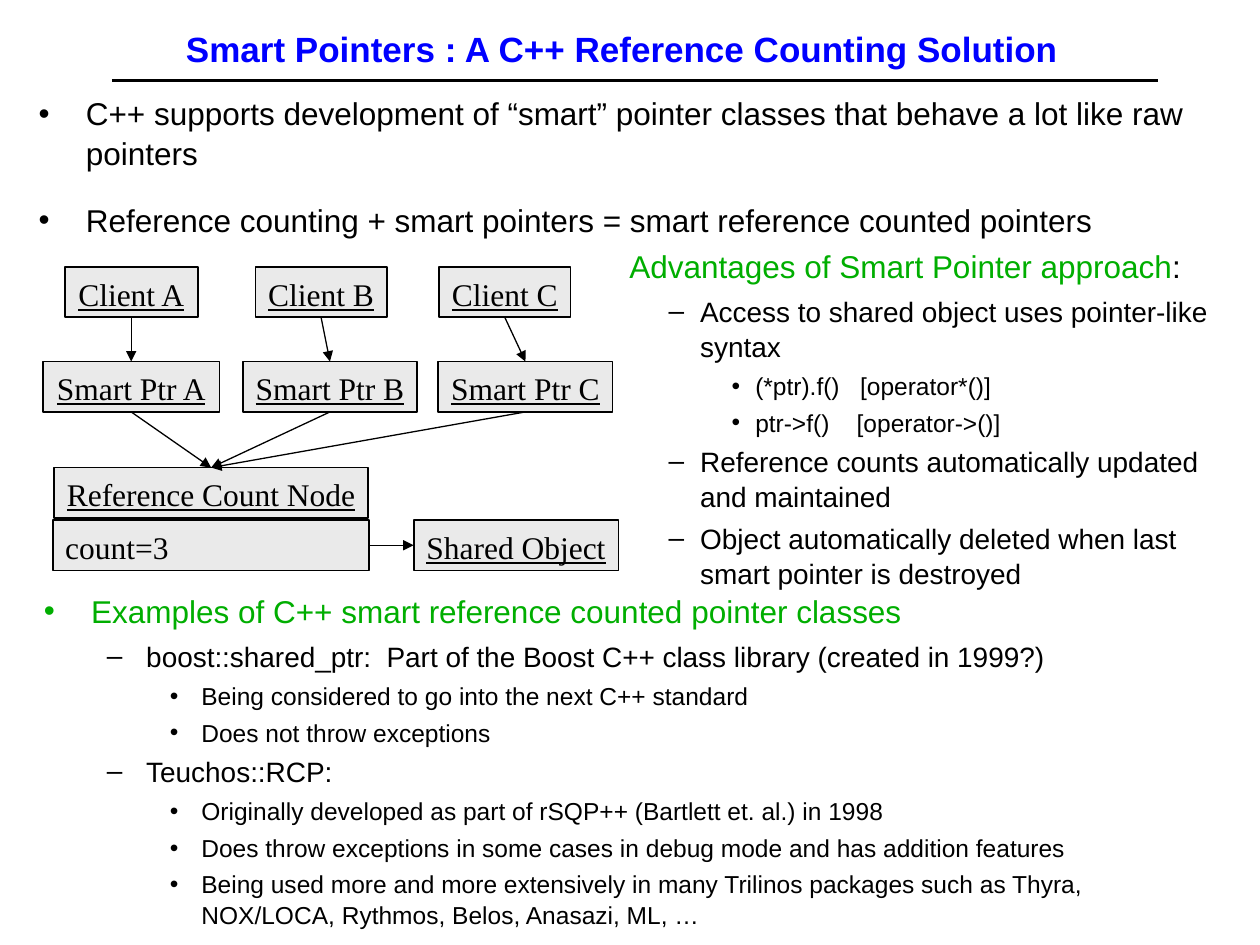
"""Build a slide on smart pointers as a C++ reference counting solution."""
from lxml import etree
from pptx import Presentation
from pptx.dml.color import RGBColor
from pptx.enum import shapes, text
from pptx.oxml.ns import qn
from pptx.util import Pt

BLACK, BLUE, GREEN, GREY = "000000", "0000FF", "00AE00", "EAEAEA"
SPACING = 1.04
SIZES = (18, 16, 14)
SPACE_AFTER = (4.5, 4, 3.5)

TITLE = "Smart Pointers : A C++ Reference Counting Solution"
INTRO = [
    (0, [("C++ supports development of “smart” pointer classes that behave a lot like raw pointers", BLACK)]),
    (0, [("Reference counting + smart pointers = smart reference counted pointers", BLACK)]),
]
EXAMPLES = [
    (0, [("Examples of C++ smart reference counted pointer classes", GREEN)]),
    (1, [("boost::shared_ptr:  Part of the Boost C++ class library (created in 1999?)", BLACK)]),
    (2, [("Being considered to go into the next C++ standard", BLACK)]),
    (2, [("Does not throw exceptions", BLACK)]),
    (1, [("Teuchos::RCP:", BLACK)]),
    (2, [("Originally developed as part of rSQP++ (Bartlett et. al.) in 1998", BLACK)]),
    (2, [("Does throw exceptions in some cases in debug mode and has addition features", BLACK)]),
    (2, [("Being used more and more extensively in many Trilinos packages such as Thyra, "
          "NOX/LOCA, Rythmos, Belos, Anasazi, ML, …", BLACK)]),
]
ADVANTAGES = [
    (0, [("Advantages of Smart Pointer approach", GREEN), (":", BLACK)]),
    (1, [("Access to shared object uses pointer-like syntax", BLACK)]),
    (2, [("(*ptr).f()   [operator*()]", BLACK)]),
    (2, [("ptr->f()    [operator->()]", BLACK)]),
    (1, [("Reference counts automatically updated and maintained", BLACK)]),
    (1, [("Object automatically deleted when last smart pointer is destroyed", BLACK)]),
]
WIDE_LEVELS = [(27, -27, "•"), (58.5, -22.5, "–"), (90, -18, "•")]
NARROW_LEVELS = [(27, -13.5, None), (54, -18, "–"), (85.5, -13.5, "•")]
LISTS = [
    (INTRO, WIDE_LEVELS, (15, 49.5, 690, 114), 16),
    (EXAMPLES, WIDE_LEVELS, (18, 334, 620, 194.5), 4.5),
    (ADVANTAGES, NARROW_LEVELS, (339, 137, 381, 196.5), 4.5),
]

BOX_HEIGHT = 28.8
BOX_ROWS = [
    (152.6, [("Client A", 37, 76), ("Client B", 146, 75), ("Client C", 251, 75)]),
    (206.6, [("Smart Ptr A", 24.5, 101), ("Smart Ptr B", 138.8, 99.5), ("Smart Ptr C", 250.5, 99.5)]),
    (267.2, [("Reference Count Node", 31, 179.3)]),
    (297.2, [("count=3", 30.2, 180.8), ("Shared Object", 236.4, 117)]),
]
TOP, BOTTOM, LEFT, RIGHT = 0, 2, 1, 3
ARROWS = [("count=3", RIGHT, "Shared Object", LEFT)]
for letter in "ABC":
    ARROWS += [
        (f"Client {letter}", BOTTOM, f"Smart Ptr {letter}", TOP),
        (f"Smart Ptr {letter}", BOTTOM, "Reference Count Node", TOP),
    ]


def rgb(value):
    """Turn a hex string into a colour."""
    return RGBColor.from_string(value)


def style(r, size, color, name="Arial"):
    """Set the font of a run."""
    r.font.size, r.font.name = Pt(size), name
    r.font.color.rgb = rgb(color)


def set_bullet(p, margin, indent, char, color):
    """Give a paragraph its indents and its bullet."""
    pPr = p._p.get_or_add_pPr()
    pPr.set("marL", str(Pt(margin)))
    pPr.set("indent", str(Pt(indent)))
    if char:
        clr = etree.SubElement(pPr, qn("a:buClr"))
        etree.SubElement(clr, qn("a:srgbClr"), val=color)
        etree.SubElement(pPr, qn("a:buFont"), typeface="Arial")
        etree.SubElement(pPr, qn("a:buChar"), char=char)
    else:
        etree.SubElement(pPr, qn("a:buNone"))


def add_list(s, items, levels, box, first_gap):
    """Add a text box holding a multi-level list."""
    tf = s.shapes.add_textbox(*map(Pt, box)).text_frame
    tf.word_wrap = True
    for i, (level, runs) in enumerate(items):
        p = tf.add_paragraph() if i else tf.paragraphs[0]
        p.level, p.line_spacing = level, SPACING
        p.space_after = Pt(SPACE_AFTER[level] if i else first_gap)
        set_bullet(p, *levels[level], runs[0][1])
        for words, color in runs:
            r = p.add_run()
            r.text = words
            style(r, SIZES[level], color)


def add_box(s, label, x, y, width):
    """Add a labelled object box."""
    sp = s.shapes.add_shape(shapes.MSO_SHAPE.RECTANGLE, Pt(x), Pt(y), Pt(width), Pt(BOX_HEIGHT))
    sp.shadow.inherit = False
    sp.fill.solid()
    sp.fill.fore_color.rgb = rgb(GREY)
    sp.line.color.rgb, sp.line.width = rgb(BLACK), Pt(1)
    tf = sp.text_frame
    tf.text = label
    is_field = "=" in label
    tf.word_wrap, tf.vertical_anchor = is_field, text.MSO_ANCHOR.TOP
    p = tf.paragraphs[0]
    p.alignment = text.PP_ALIGN.LEFT if is_field else text.PP_ALIGN.CENTER
    p.line_spacing = SPACING
    style(p.runs[0], 18, BLACK, "Times New Roman")
    p.runs[0].font.underline = not is_field
    return sp


def add_line(s, width, ends=(0, 0, 0, 0)):
    """Add a black straight line without a shadow."""
    cxn = s.shapes.add_connector(shapes.MSO_CONNECTOR.STRAIGHT, *map(Pt, ends))
    cxn.line.color.rgb, cxn.line.width = rgb(BLACK), Pt(width)
    etree.SubElement(cxn._element.spPr, qn("a:effectLst"))
    return cxn


def add_title(s):
    """Format the title and draw the rule below it."""
    sp = s.shapes.title
    sp.left, sp.top, sp.width, sp.height = map(Pt, (49.5, 10, 612, 35.5))
    tf = sp.text_frame
    tf.text = TITLE
    tf.word_wrap, tf.vertical_anchor = True, text.MSO_ANCHOR.MIDDLE
    p = tf.paragraphs[0]
    p.alignment = text.PP_ALIGN.CENTER
    style(p.runs[0], 20, BLUE)
    p.runs[0].font.bold = True
    add_line(s, 2, (64, 46, 662, 46))


def main():
    """Build and save the slide."""
    prs = Presentation()
    prs.slide_width, prs.slide_height = Pt(720), Pt(540)
    s = prs.slides.add_slide(prs.slide_layouts[5])
    add_title(s)
    for items, levels, box, first_gap in LISTS:
        add_list(s, items, levels, box, first_gap)
    boxes = {label: add_box(s, label, x, y, width)
             for y, row in BOX_ROWS for label, x, width in row}
    for start, start_site, end, end_site in ARROWS:
        cxn = add_line(s, 0.75)
        cxn.begin_connect(boxes[start], start_site)
        cxn.end_connect(boxes[end], end_site)
        etree.SubElement(cxn.line._get_or_add_ln(), qn("a:tailEnd"), type="triangle")
    prs.save("out.pptx")


if __name__ == "__main__":
    main()
